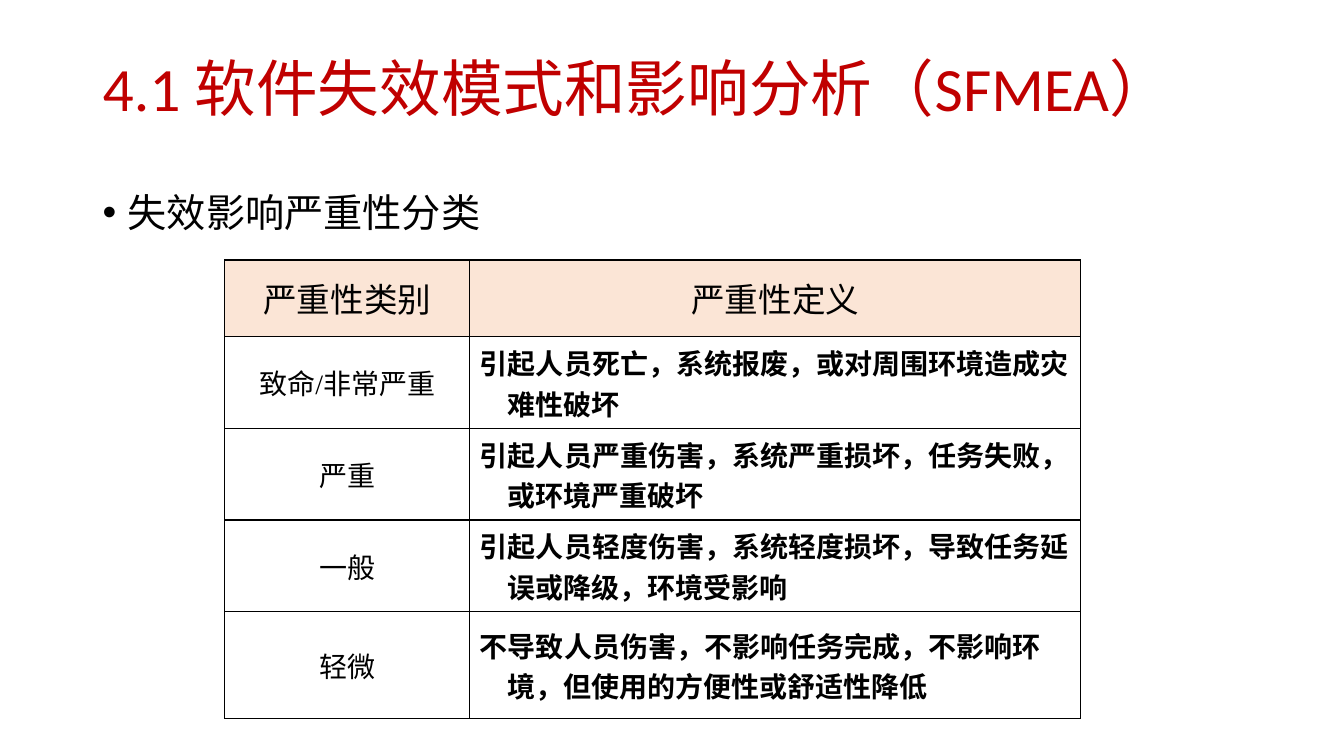
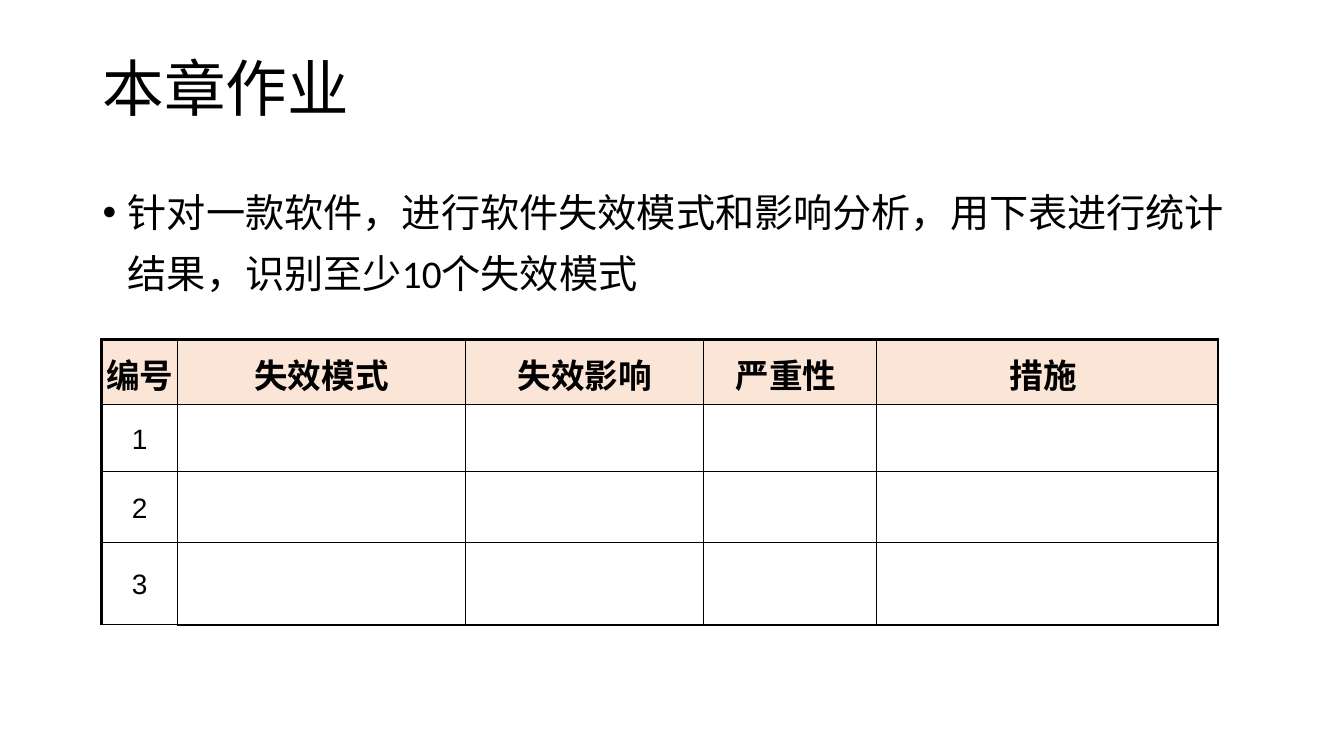
from lxml import etree
from pptx import Presentation
from pptx.dml.color import RGBColor
from pptx.enum.text import MSO_ANCHOR, PP_ALIGN
from pptx.oxml.ns import qn
from pptx.util import Inches, Pt

MIDDLE = MSO_ANCHOR.MIDDLE
TOP = MSO_ANCHOR.TOP
LEFT = PP_ALIGN.LEFT
CENTER = PP_ALIGN.CENTER

COLORS = {"text": "000000", "accent": "C00000", "header": "FBE5D6", "border": "000000"}
TITLE_BOX = (0.92, 0.4, 11.5, 1.02)
THIN = 1
THICK = 2.25

SEVERITIES = [
    ("致命/非常严重", "引起人员死亡，系统报废，或对周围环境造成灾难性破坏"),
    ("严重", "引起人员严重伤害，系统严重损坏，任务失败，或环境严重破坏"),
    ("一般", "引起人员轻度伤害，系统轻度损坏，导致任务延误或降级，环境受影响"),
    ("轻微", "不导致人员伤害，不影响任务完成，不影响环境，但使用的方便性或舒适性降低"),
]
HOMEWORK_HEADERS = ["编号", "失效模式", "失效影响", "严重性 ", "措施 "]


def add_run(paragraph, text, size, font, color="text", bold=False):
    run = paragraph.add_run()
    run.text = text
    run.font.size = Pt(size)
    run.font.name = font
    run.font.bold = bold
    run.font.color.rgb = RGBColor.from_string(COLORS[color])


def set_indent(paragraph, indent):
    properties = paragraph._p.get_or_add_pPr()
    properties.set("marL", str(Inches(indent)))
    properties.set("indent", str(-Inches(indent)))
    return properties


def add_text_box(slide, box, anchor, line_spacing):
    frame = slide.shapes.add_textbox(*map(Inches, box)).text_frame
    frame.word_wrap = True
    frame.vertical_anchor = anchor
    paragraph = frame.paragraphs[0]
    paragraph.line_spacing = line_spacing
    return paragraph


def add_title(slide, text, color="text"):
    paragraph = add_text_box(slide, TITLE_BOX, MIDDLE, 0.9)
    add_run(paragraph, text, 44, "Calibri", color)


def add_bullet(slide, text, height):
    paragraph = add_text_box(slide, (0.92, 1.68, 11.5, height), TOP, 1.3)
    properties = set_indent(paragraph, 0.25)
    etree.SubElement(properties, qn("a:buFont")).set("typeface", "Arial")
    etree.SubElement(properties, qn("a:buChar")).set("char", "•")
    add_run(paragraph, text, 28, "Calibri")


def add_table(slide, left, top, widths, heights):
    shape = slide.shapes.add_table(
        len(heights), len(widths), Inches(left), Inches(top),
        Inches(sum(widths)), Inches(sum(heights)))
    table = shape.table
    table.first_row = False
    table.horz_banding = False
    for column, width in zip(table.columns, widths):
        column.width = Inches(width)
    for row, height in zip(table.rows, heights):
        row.height = Inches(height)
    return table


def style_cell(cell, is_header, left=THIN, right=THIN, top=THIN, bottom=THIN):
    cell.vertical_anchor = MIDDLE
    properties = cell._tc.get_or_add_tcPr()
    for side, width in zip("LRTB", (left, right, top, bottom)):
        line = etree.SubElement(properties, qn(f"a:ln{side}"), w=str(Pt(width)))
        fill = etree.SubElement(line, qn("a:solidFill"))
        etree.SubElement(fill, qn("a:srgbClr"), val=COLORS["border"])
    if is_header:
        cell.fill.solid()
        cell.fill.fore_color.rgb = RGBColor.from_string(COLORS["header"])
    else:
        cell.fill.background()


def add_severity_table(slide, left, top):
    table = add_table(slide, left, top, [2.43, 6.06], [0.76, 0.91, 0.91, 0.91, 1.06])
    rows = [("严重性类别", "严重性定义")] + SEVERITIES
    for row, texts in enumerate(rows):
        for column, text in enumerate(texts):
            cell = table.cell(row, column)
            is_header = row == 0
            is_definition = not is_header and column == 1
            style_cell(cell, is_header)
            paragraph = cell.text_frame.paragraphs[0]
            paragraph.alignment = LEFT if is_definition else CENTER
            set_indent(paragraph, 0.27).set("hangingPunct", "0")
            add_run(paragraph, text, 24 if is_header else 20,
                    "Times New Roman", bold=is_definition)


def add_homework_table(slide, left, top):
    widths = [0.75, 2.86, 2.36, 1.71, 3.39]
    heights = [0.64, 0.67, 0.7, 0.82]
    table = add_table(slide, left, top, widths, heights)
    last_row, last_column = len(heights) - 1, len(widths) - 1
    for row in range(len(heights)):
        for column, header in enumerate(HOMEWORK_HEADERS):
            cell = table.cell(row, column)
            is_header = row == 0
            style_cell(
                cell, is_header,
                left=THICK if column == 0 else THIN,
                right=THICK if column == last_column else THIN,
                top=THICK if is_header else THIN,
                bottom=THICK if row == last_row and column > 0 else THIN)
            if is_header:
                cell.margin_left = cell.margin_right = Inches(0)
            if is_header or column == 0:
                paragraph = cell.text_frame.paragraphs[0]
                paragraph.alignment = CENTER
                paragraph.line_spacing = 1.1
                add_run(paragraph, header if is_header else str(row),
                        24 if is_header else 20, "Arial", bold=is_header)


def build_severity_slide(slide):
    add_title(slide, "4.1 软件失效模式和影响分析（SFMEA）", "accent")
    add_bullet(slide, "失效影响严重性分类", 1.01)
    add_severity_table(slide, 2.23, 2.58)


def build_homework_slide(slide):
    add_title(slide, "本章作业")
    add_bullet(slide, "针对一款软件，进行软件失效模式和影响分析，用下表进行统计结果，识别至少10个失效模式", 1.69)
    add_homework_table(slide, 1.01, 3.37)


def main():
    presentation = Presentation()
    presentation.slide_width = Inches(13.33)
    presentation.slide_height = Inches(7.5)
    blank_layout = presentation.slide_layouts[6]
    for build_slide in (build_severity_slide, build_homework_slide):
        build_slide(presentation.slides.add_slide(blank_layout))
    presentation.save("out.pptx")


if __name__ == "__main__":
    main()
